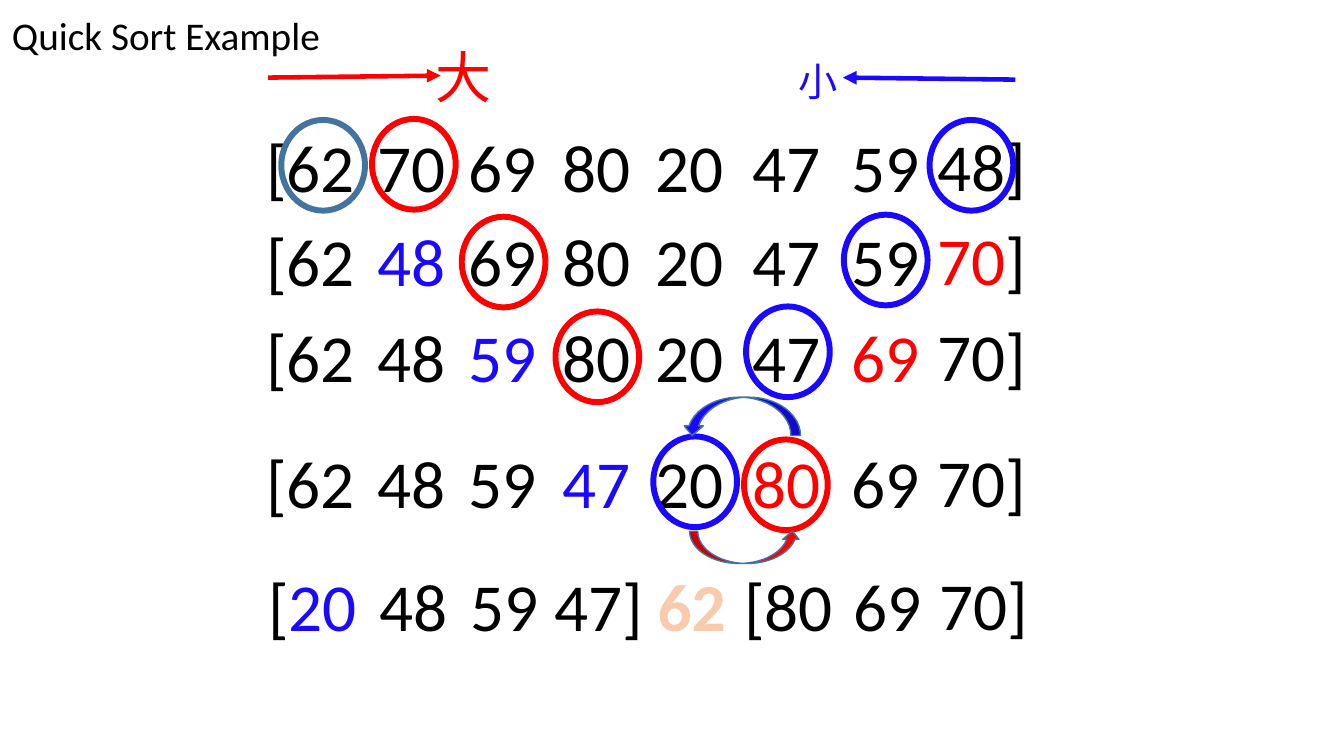
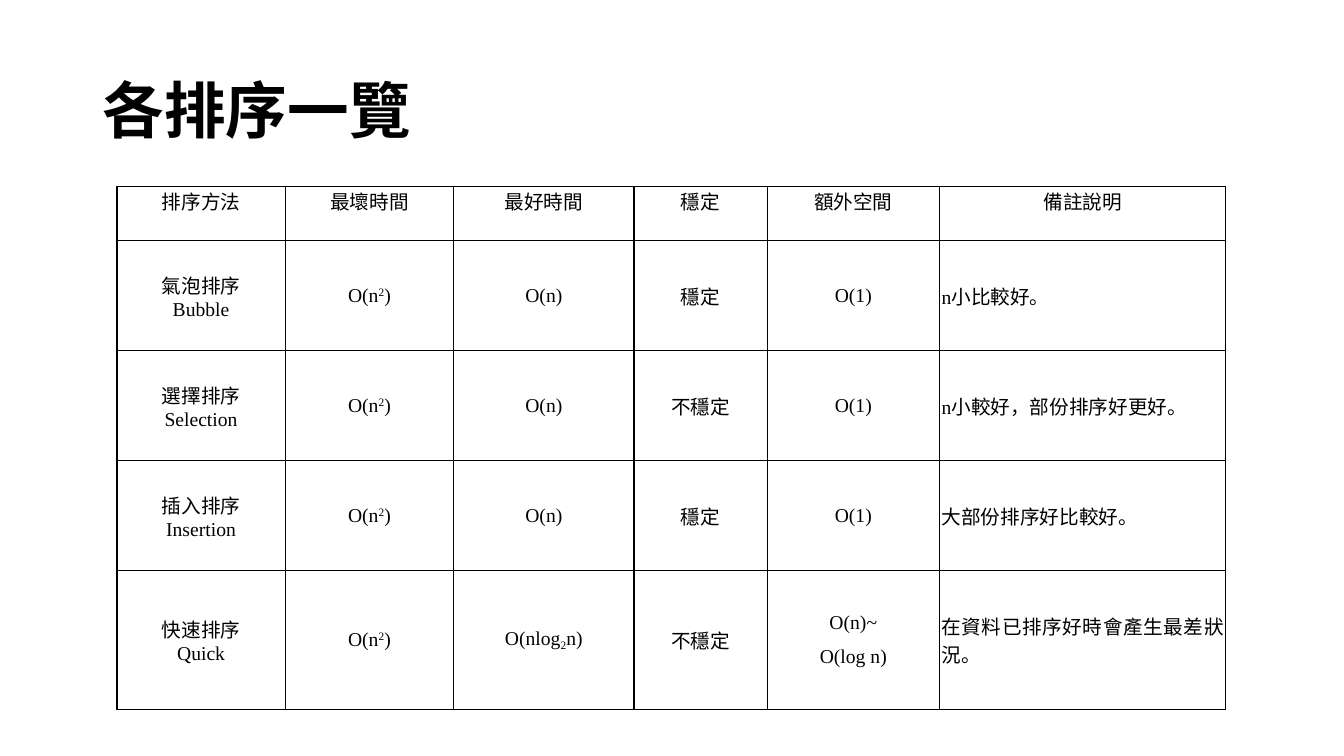
import itertools
import pptx
import pptx.util
import pptx.dml.color
import pptx.enum.shapes
import pptx.enum.text
import pptx.oxml.ns
from lxml import etree

PX = 9144
COLOURS = {"black": "000000", "white": "FFFFFF", "red": "FF0000", "blue": "1B09FF",
           "steel": "43739E", "peach": "F8CBAD", "orange": "ED7D31"}
LATIN, SERIF = "Calibri", "Times New Roman"
CJK, CJK_TITLE = "Noto Sans CJK SC", "Noto Sans CJK JP"
ALIGN = pptx.enum.text.PP_ALIGN
ANCHOR = pptx.enum.text.MSO_ANCHOR
SHAPE = pptx.enum.shapes.MSO_SHAPE

COLUMN_CENTRES = [308, 408, 498, 592, 684, 780, 878, 974]
PASSES = [
    (119, 0, "[62 70 69 80 20 47 59 48]", {}),
    (213, 0, "[62 48 69 80 20 47 59 70]", {1: "blue", 7: "red"}),
    (308, 0, "[62 48 59 80 20 47 69 70]", {2: "blue", 6: "red"}),
    (433, 0, "[62 48 59 47 20 80 69 70]", {3: "blue", 5: "red"}),
    (555, 2, "[20 48 59 47] 62 [80 69 70]", {0: "blue", 4: "peach"}),
]
CIRCLES = [
    (279, 119, "steel"), (369, 118, "red"), (922, 119, "blue"),
    (458, 215, "red"), (837, 213, "blue"),
    (551, 309, "red"), (740, 304, "blue"),
    (738, 436, "red"), (648, 433, "blue"),
]
SCAN_ARROWS = [(266, 77, 437, 75, "red"), (1007, 79, 836, 77, "blue")]
SCAN_LABELS = [("大", (422, 37, 76, 77), 40, "red"), ("小", (782, 52, 59, 57), 28, "blue")]
SWAP_ARROWS = [
    (SHAPE.CURVED_UP_ARROW, (684, 527, 110, 32), "red", False),
    (SHAPE.CURVED_DOWN_ARROW, (677, 394, 117, 38), "blue", True),
]

COLUMN_WIDTHS = [167, 167, 179, 132, 171, 284]
ROW_HEIGHTS = [54, 109, 109, 109, 138]
HEADINGS = ["排序方法", "最壞時間", "最好時間", "穩定", "額外空間", "備註說明"]
METHODS = [
    ["氣泡排序\nBubble", "O(n|^2|)", "O(n)", "穩定", "O(1)", "n小比較好。"],
    ["選擇排序\nSelection", "O(n|^2|)", "O(n)", "不穩定", "O(1)", "n小較好，部份排序好更好。"],
    ["插入排序\nInsertion", "O(n|^2|)", "O(n)", "穩定", "O(1)", "大部份排序好比較好。"],
    ["快速排序\nQuick", "O(n|^2|)", "O(nlog|_2|n)", "不穩定", "O(n)~\nO(log n)",
     "在資料已排序好時會產生最差狀況。"],
]
BASELINES = {"^": "30000", "_": "-25000"}


def px(*lengths):
    return [round(length * PX) for length in lengths]


def rgb(colour):
    return pptx.dml.color.RGBColor.from_string(COLOURS[colour])


def child(parent, tag, **attributes):
    return etree.SubElement(parent, pptx.oxml.ns.qn(tag), attributes)


def add_run(paragraph, text, size, font, colour="black", bold=False):
    run = paragraph.add_run()
    run.text = text
    run.font.size = pptx.util.Pt(size)
    run.font.bold = bold
    run.font.color.rgb = rgb(colour)
    run.font.name = font
    properties = run.font._element
    child(properties, "a:ea", typeface=font)
    return properties


def add_text(slide, box, wrap=False, align=ALIGN.CENTER):
    frame = slide.shapes.add_textbox(*px(*box)).text_frame
    frame.word_wrap = wrap
    paragraph = frame.paragraphs[0]
    paragraph.alignment = align
    return frame, paragraph


def add_outlined(slide, kind, box, line, width, fill=None):
    shape = slide.shapes.add_shape(kind, *px(*box))
    shape.shadow.inherit = False
    shape.line.color.rgb = rgb(line)
    shape.line.width = pptx.util.Pt(width)
    if fill:
        shape.fill.solid()
        shape.fill.fore_color.rgb = rgb(fill)
    else:
        shape.fill.background()
    return shape


def outline_text(properties, colour, width):
    line = child(properties, "a:ln", w=str(pptx.util.Pt(width)))
    child(child(line, "a:solidFill"), "a:srgbClr", val=COLOURS[colour])
    properties.insert(0, line)


def add_number(slide, number, centre, top, colour):
    width = 90 if number.isdigit() else 110
    paragraph = add_text(slide, (centre - width // 2, top, width, 91))[1]
    for is_digit, letters in itertools.groupby(number, str.isdigit):
        pivot = is_digit and colour == "peach"
        properties = add_run(paragraph, "".join(letters), 48, LATIN,
                             colour if is_digit else "black", pivot)
        if pivot:
            outline_text(properties, "orange", 1.75)


def add_scan_arrow(slide, x1, y1, x2, y2, colour):
    arrow = slide.shapes.add_connector(pptx.enum.shapes.MSO_CONNECTOR.STRAIGHT,
                                       *px(x1, y1, x2, y2))
    arrow.line.color.rgb = rgb(colour)
    arrow.line.width = pptx.util.Pt(3.25)
    child(arrow.line._get_or_add_ln(), "a:tailEnd", type="triangle")
    child(arrow._element.spPr, "a:effectLst")


def build_example(slide):
    for top, shift, numbers, highlights in PASSES:
        for column, number in enumerate(numbers.split()):
            raised = 1 if column == len(COLUMN_CENTRES) - 1 else 0
            add_number(slide, number, COLUMN_CENTRES[column] + shift, top - raised,
                       highlights.get(column, "black"))
    for left, top, colour in CIRCLES:
        add_outlined(slide, SHAPE.OVAL, (left, top, 83, 90), colour, 4.25)
    for arrow in SCAN_ARROWS:
        add_scan_arrow(slide, *arrow)
    for label, box, size, colour in SCAN_LABELS:
        add_run(add_text(slide, box)[1], label, size, CJK, colour)
    for kind, box, fill, flipped in SWAP_ARROWS:
        swap = add_outlined(slide, kind, box, "steel", 1, fill)
        if flipped:
            swap._element.spPr.xfrm.set("flipH", "1")
    add_run(add_text(slide, (0, 6, 329, 57))[1], "Quick Sort Example", 28, LATIN)


def add_borders(cell):
    properties = cell._tc.get_or_add_tcPr()
    for position, side in enumerate("LRTB"):
        line = child(properties, "a:ln" + side, w=str(pptx.util.Pt(1)))
        child(child(line, "a:solidFill"), "a:srgbClr", val=COLOURS["black"])
        properties.insert(position, line)


def fill_cell(cell, text, align, inset, anchor, space_before):
    cell.fill.background()
    cell.margin_left = cell.margin_right = inset * PX
    cell.margin_top = cell.margin_bottom = 0
    cell.vertical_anchor = anchor
    add_borders(cell)
    frame = cell.text_frame
    for index, line in enumerate(text.split("\n")):
        paragraph = frame.add_paragraph() if index else frame.paragraphs[0]
        paragraph.alignment = align
        paragraph.space_before = pptx.util.Pt(space_before)
        for part in line.split("|"):
            baseline = BASELINES.get(part[0])
            body = part[1:] if baseline else part
            for is_latin, letters in itertools.groupby(body, str.isascii):
                properties = add_run(paragraph, "".join(letters), 14, SERIF if is_latin else CJK)
                if baseline:
                    properties.set("baseline", baseline)


def build_overview(slide):
    frame, title = add_text(slide, (92, 40, 1150, 145), True, ALIGN.LEFT)
    frame.vertical_anchor = ANCHOR.MIDDLE
    title.line_spacing = 0.9
    add_run(title, "各排序一覽", 44, CJK_TITLE, bold=True)

    table = slide.shapes.add_table(len(ROW_HEIGHTS), len(COLUMN_WIDTHS),
                                   *px(116, 185, sum(COLUMN_WIDTHS), sum(ROW_HEIGHTS))).table
    table.first_row = table.horz_banding = False
    for column, width in zip(table.columns, COLUMN_WIDTHS):
        column.width = width * PX
    for row, height in zip(table.rows, ROW_HEIGHTS):
        row.height = height * PX
    last = len(HEADINGS) - 1
    for column, heading in enumerate(HEADINGS):
        fill_cell(table.cell(0, column), heading, ALIGN.CENTER, 7, ANCHOR.TOP, 9)
    for row, method in enumerate(METHODS, 1):
        for column, text in enumerate(method):
            fill_cell(table.cell(row, column), text,
                      ALIGN.JUSTIFY if column == last else ALIGN.CENTER,
                      2, ANCHOR.MIDDLE, 0 if column in (0, last) else 9)


def main():
    deck = pptx.Presentation()
    deck.slide_width, deck.slide_height = px(1333, 750)
    for build in (build_example, build_overview):
        slide = deck.slides.add_slide(deck.slide_layouts[6])
        slide.background.fill.solid()
        slide.background.fill.fore_color.rgb = rgb("white")
        build(slide)
    deck.save("out.pptx")


if __name__ == "__main__":
    main()
